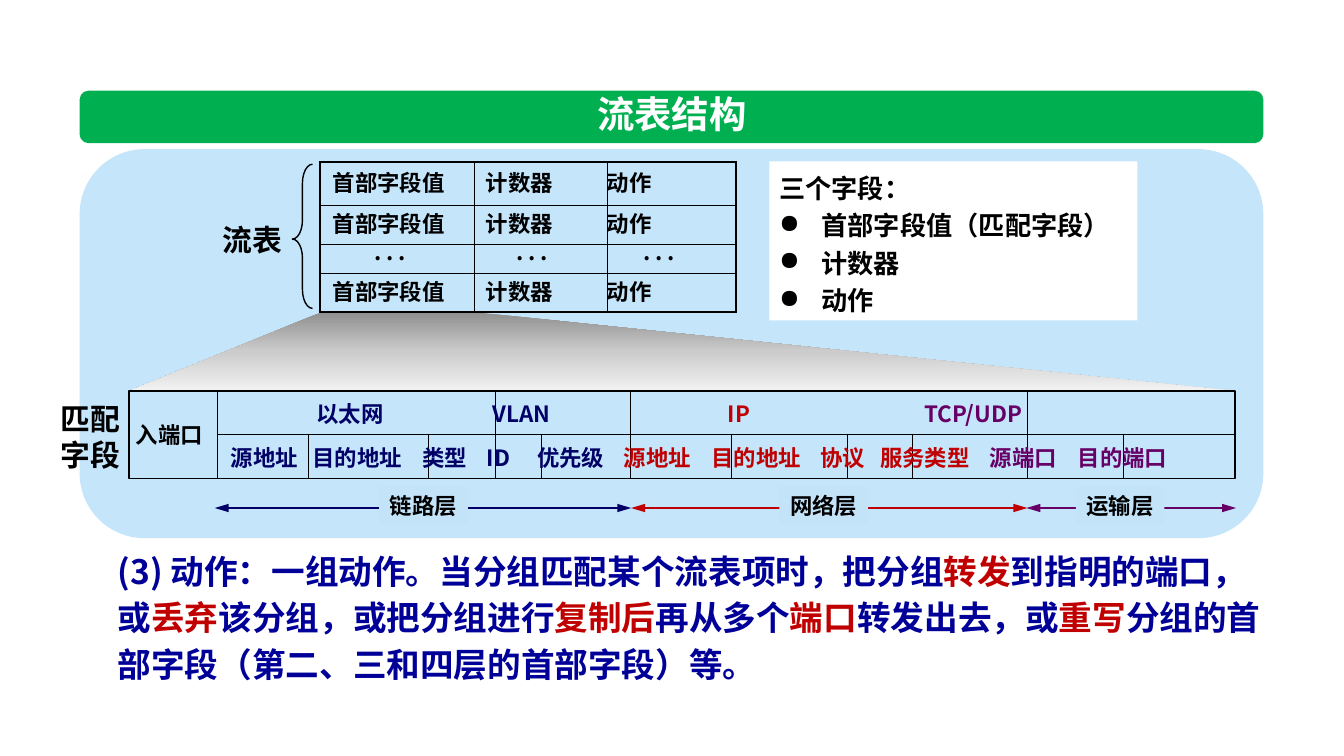
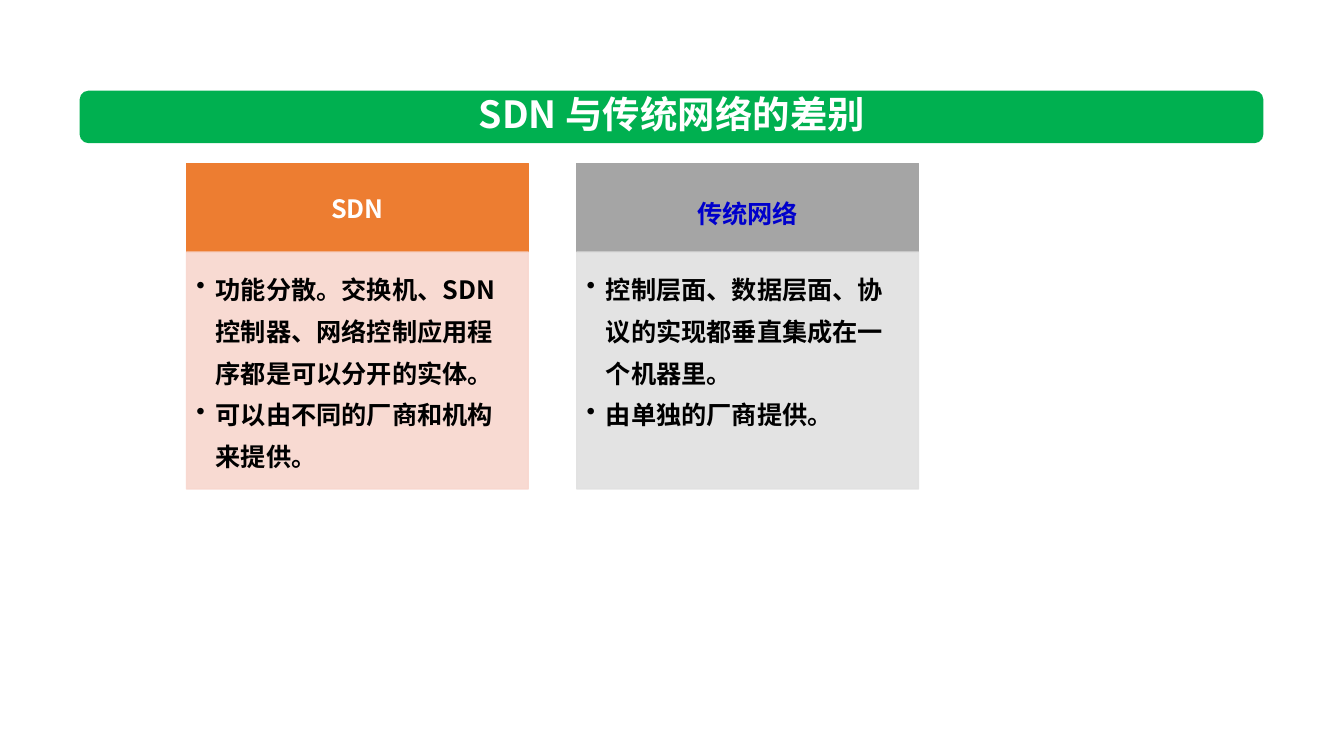
import collections
import copy
import dataclasses

import pptx
import pptx.dml.color
import pptx.enum.shapes
import pptx.enum.text
import pptx.oxml
import pptx.oxml.ns
import pptx.util

Inches = pptx.util.Inches
Pt = pptx.util.Pt
qn = pptx.oxml.ns.qn
Preset = pptx.enum.shapes.MSO_SHAPE
Align = pptx.enum.text.PP_ALIGN
Anchor = pptx.enum.text.MSO_ANCHOR
Box = collections.namedtuple("Box", "left top width height")


@dataclasses.dataclass(frozen=True)
class Theme:
    font: str = "Noto Sans CJK SC"
    title_size: float = 26.7
    body_size: float = 24
    side_size: float = 21.3
    note_size: float = 18.7
    card_size: float = 18
    label_size: float = 16
    white: str = "FFFFFF"
    black: str = "000000"
    green: str = "00B050"
    panel: str = "C5E5FB"
    layer: str = "C3E3F9"
    navy: str = "000066"
    red: str = "C00000"
    purple: str = "660066"
    blue: str = "000099"
    bright_blue: str = "0000CC"
    orange: str = "ED7D31"
    pink: str = "F8D7CE"
    gray: str = "A5A5A5"
    light_gray: str = "E1E1E1"
    fan: tuple = ((0, "909090"), (0.5, "CCCCCC"), (1, "F2F2F2"))


THEME = Theme()


def rgb(value):
    return pptx.dml.color.RGBColor.from_string(value)


def apply(target, formats):
    for name, value in formats.items():
        setattr(target, name, value)


def inches(box):
    return [Inches(value) for value in box]


def within(box, left, top, width, height):
    return Box(box.left + left, box.top + top, width, height)


def write_text(frame, paragraphs, size, align=Align.LEFT, spacing=None, bullets=None, indent=0.0):
    for index, runs in enumerate(paragraphs):
        paragraph = frame.paragraphs[0] if index == 0 else frame.add_paragraph()
        bullet = bullets[index] if bullets else None
        if bullet:
            properties = paragraph._p.get_or_add_pPr()
            apply_indent = {"marL": Inches(indent), "indent": -Inches(indent)}
            for name, value in apply_indent.items():
                properties.set(name, str(value))
            mark = pptx.oxml.parse_xml(
                f'<a:buChar {pptx.oxml.ns.nsdecls("a")} char="{bullet}"/>')
            properties.append(mark)
        apply(paragraph, {"alignment": align, "space_before": Pt(0), "space_after": Pt(0)})
        if spacing:
            paragraph.line_spacing = Pt(spacing)
        for text, color in runs:
            run = paragraph.add_run()
            run.text = text
            apply(run.font, {"name": THEME.font, "size": Pt(size), "bold": True})
            run.font.color.rgb = rgb(color)
            latin = run._r.rPr.find(qn("a:latin"))
            east_asian = latin.makeelement(qn("a:ea"), {"typeface": THEME.font})
            latin.addnext(east_asian)


def set_frame(frame, anchor=Anchor.TOP, insets=(0.1, 0.05, 0.1, 0.05)):
    names = ("margin_left", "margin_top", "margin_right", "margin_bottom")
    apply(frame, dict(zip(names, inches(insets))))
    apply(frame, {"word_wrap": True, "vertical_anchor": anchor})


def add_shape(slide, preset, box, fill=None, line=None, weight=1.0, opacity=None):
    shape = slide.shapes.add_shape(preset, *inches(box))
    shape.shadow.inherit = False
    for paint, color in ((shape.fill, fill), (shape.line.fill, line)):
        if color:
            paint.solid()
            paint.fore_color.rgb = rgb(color)
        else:
            paint.background()
    if line:
        shape.line.width = Pt(weight)
    if opacity:
        for color in shape._element.spPr.iter(qn("a:srgbClr")):
            color.append(color.makeelement(qn("a:alpha"), {"val": str(opacity * 1000)}))
    return shape


def add_text(slide, box, paragraphs, size, anchor=Anchor.TOP, **options):
    frame = slide.shapes.add_textbox(*inches(box)).text_frame
    set_frame(frame, anchor)
    write_text(frame, paragraphs, size, **options)


def add_label(slide, box, left, top, text, color):
    place = within(box, left, top, 0.25 * len(text) + 0.25, 0.37)
    add_text(slide, place, [[(text, color)]], THEME.label_size, Anchor.MIDDLE)


def add_line(slide, box, start, end, color, weight, arrows=False):
    points = [box.left + start[0], box.top + start[1], box.left + end[0], box.top + end[1]]
    connector = slide.shapes.add_connector(
        pptx.enum.shapes.MSO_CONNECTOR.STRAIGHT, *inches(points))
    connector.line.color.rgb = rgb(color)
    connector.line.width = Pt(weight)
    properties = connector._element.spPr
    if arrows:
        line = properties.find(qn("a:ln"))
        for tag in ("a:headEnd", "a:tailEnd"):
            line.append(line.makeelement(qn(tag), {"type": "triangle", "w": "med", "len": "lg"}))
    properties.append(properties.makeelement(qn("a:effectLst"), {}))


def add_title_band(slide, box, text):
    band = add_shape(slide, Preset.ROUNDED_RECTANGLE, box, THEME.green)
    band.adjustments[0] = 0.167
    title = slide.shapes.title
    title._element.addprevious(band._element)
    place = within(box, 2.04, -0.05, 7.67, 0.55)
    apply(title, dict(zip(Box._fields, inches(place))))
    set_frame(title.text_frame, Anchor.MIDDLE)
    write_text(title.text_frame, [[(text, THEME.white)]], THEME.title_size, align=Align.CENTER)


def set_borders(cell, weights):
    properties = cell._tc.get_or_add_tcPr()
    for index, (side, weight) in enumerate(zip("LRTB", weights)):
        properties.insert(index, pptx.oxml.parse_xml(
            f'<a:ln{side} {pptx.oxml.ns.nsdecls("a")} w="{Pt(weight)}"><a:solidFill>'
            f'<a:srgbClr val="{THEME.black}"/></a:solidFill></a:ln{side}>'))


def add_flow_table(slide, box):
    entry = ("首部字段值", "计数器", "动作")
    dots = (". . .",) * 3
    rows = (entry, entry, dots, entry)
    widths = (1.53, 1.32, 1.28)
    heights = (0.43, 0.38, 0.29, 0.39)
    margins = {entry: (0.13, 0.12, 0), dots: (0.54, 0.42, 0.36)}
    table = slide.shapes.add_table(len(rows), len(widths), *inches(box)).table
    apply(table, {"first_row": False, "horz_banding": False})
    for column, width in zip(table.columns, widths):
        column.width = Inches(width)
    for row_index, texts in enumerate(rows):
        table.rows[row_index].height = Inches(heights[row_index])
        for column_index, text in enumerate(texts):
            cell = table.cell(row_index, column_index)
            cell.fill.background()
            apply(cell, {"margin_left": Inches(margins[texts][column_index]), "margin_right": 0,
                         "margin_top": 0, "margin_bottom": 0, "vertical_anchor": Anchor.MIDDLE})
            write_text(cell.text_frame, [[(text, THEME.black)]], THEME.label_size,
                       spacing=12 if texts is dots else 20)
            edges = (column_index == 0, column_index == len(widths) - 1,
                     row_index == 0, row_index == len(rows) - 1)
            set_borders(cell, [1.5 if edge else 0.5 for edge in edges])
    brace = add_shape(slide, Preset.LEFT_BRACE, within(box, -0.27, 0.02, 0.2, 1.43),
                      line=THEME.black)
    brace.adjustments[0], brace.adjustments[1] = 0.937, 0.519
    add_text(slide, within(box, -1.06, 0.54, 0.9, 0.46), [[("流表", THEME.black)]],
             THEME.side_size, Anchor.MIDDLE)


def add_fan(slide, box):
    points = [(1.9, 0), (3.46, 0), (box.width, box.height), (0, box.height)]
    corners = [(Inches(box.left + x), Inches(box.top + y)) for x, y in points]
    builder = slide.shapes.build_freeform(*corners[0])
    builder.add_line_segments(corners[1:], close=True)
    fan = builder.convert_to_shape()
    fan.shadow.inherit = False
    fan.line.fill.background()
    fan.fill.gradient()
    fan.fill.gradient_angle = 270
    stops = fan._element.spPr.find(".//" + qn("a:gsLst"))
    stops.append(copy.deepcopy(stops[-1]))
    for stop, (position, color) in zip(fan.fill.gradient_stops, THEME.fan):
        stop.position = position
        stop.color.rgb = rgb(color)


def add_match_fields(slide, box):
    middle = 0.43
    add_shape(slide, Preset.RECTANGLE, box, line=THEME.black)
    add_line(slide, box, (0.88, middle), (box.width, middle), THEME.black, 0.5)
    dividers = ((0, (0.88, 3.63, 4.97, 8.91)),
                (middle, (1.78, 2.97, 4.09, 5.97, 7.12, 7.77, 9.86)))
    for top, offsets in dividers:
        for offset in offsets:
            add_line(slide, box, (offset, top), (offset, box.height), THEME.black, 0.5)
    add_text(slide, within(box, -0.78, 0.04, 0.9, 0.82),
             [[("匹配", THEME.black)], [("字段", THEME.black)]],
             THEME.side_size, Anchor.MIDDLE, spacing=25.7)
    add_label(slide, box, -0.03, 0.25, "入端口", THEME.black)
    fields = {
        THEME.navy: (((1.76, "以太网"), (3.51, "VLAN")),
                     ((0.91, "源地址"), (1.72, "目的地址"), (2.81, "类型"),
                      (3.45, "ID"), (3.95, "优先级"))),
        THEME.red: (((5.84, "IP"),),
                    ((4.81, "源地址"), (5.68, "目的地址"), (6.76, "协议"), (7.35, "服务类型"))),
        THEME.purple: (((7.79, "TCP/UDP"),), ((8.44, "源端口"), (9.31, "目的端口"))),
    }
    for color, rows in fields.items():
        for top, labels in zip((0.04, 0.47), rows):
            for left, text in labels:
                add_label(slide, box, left, top, text, color)
    layers = (("链路层", 0.85, 4.98, 2.48, THEME.navy), ("网络层", 4.98, 8.91, 6.45, THEME.red),
              ("运输层", 8.9, 10.98, 9.39, THEME.purple))
    for text, start, end, left, color in layers:
        add_line(slide, box, (start, 1.16), (end, 1.16), color, 1.5, arrows=True)
        tag = add_shape(slide, Preset.RECTANGLE, within(box, left, 0.95, 0.88, 0.37), THEME.layer)
        set_frame(tag.text_frame, Anchor.MIDDLE, (0, 0, 0, 0))
        write_text(tag.text_frame, [[(text, THEME.black)]], THEME.label_size, align=Align.CENTER)


def add_field_note(slide, box):
    note = add_shape(slide, Preset.RECTANGLE, box, THEME.white)
    set_frame(note.text_frame)
    lines = ("三个字段：", "首部字段值（匹配字段）", "计数器", "动作")
    write_text(note.text_frame, [[(line, THEME.black)] for line in lines], THEME.note_size,
               spacing=26.7, bullets=(None, "●", "●", "●"), indent=0.42)


def add_action_text(slide, box):
    parts = ("(3) 动作：一组动作。当分组匹配某个流表项时，把分组", "转发", "到指明的端口，或", "丢弃",
             "该分组，或把分组进行", "复制后", "再从多个", "端口", "转发出去，或", "重写",
             "分组的首部字段（第二、三和四层的首部字段）等。")
    runs = [(part, (THEME.blue, THEME.red)[index % 2]) for index, part in enumerate(parts)]
    add_text(slide, box, [runs], THEME.body_size, spacing=33.3)


def add_card(slide, box, heading, heading_color, heading_spacing, fills, points):
    header_height = 0.88
    header = add_shape(slide, Preset.RECTANGLE, within(box, 0, 0, box.width, header_height),
                       fills[0], fills[0])
    set_frame(header.text_frame, Anchor.MIDDLE, (0.14, 0.08, 0.14, 0.08))
    write_text(header.text_frame, [[(heading, heading_color)]], THEME.card_size,
               align=Align.CENTER, spacing=heading_spacing)
    place = within(box, 0, header_height, box.width, box.height - header_height)
    body = add_shape(slide, Preset.RECTANGLE, place, fills[1], fills[1], opacity=90)
    set_frame(body.text_frame, insets=(0.1, 0.1, 0.14, 0.16))
    write_text(body.text_frame, [[(point, THEME.black)] for point in points], THEME.card_size,
               spacing=30, bullets="•" * len(points), indent=0.19)


def add_titled_slide(presentation, title):
    slide = presentation.slides.add_slide(presentation.slide_layouts.get_by_name("Title Only"))
    add_title_band(slide, Box(0.79, 0.9, 11.74, 0.52), title)
    return slide


def build_flow_slide(presentation):
    slide = add_titled_slide(presentation, "流表结构")
    add_shape(slide, Preset.ROUNDED_RECTANGLE, Box(0.79, 1.48, 11.74, 3.86), THEME.panel)
    add_fan(slide, Box(1.28, 3.1, 10.97, 0.78))
    add_flow_table(slide, Box(3.17, 1.61, 4.13, 1.49))
    add_match_fields(slide, Box(1.28, 3.88, 10.97, 0.87))
    add_field_note(slide, Box(7.63, 1.6, 3.65, 1.58))
    add_action_text(slide, Box(1.07, 5.35, 11.7, 1.45))


def build_comparison_slide(presentation):
    slide = add_titled_slide(presentation, "SDN 与传统网络的差别")
    cards = (
        ("SDN", THEME.white, 22, (THEME.orange, THEME.pink),
         ("功能分散。交换机、SDN 控制器、网络控制应用程序都是可以分开的实体。",
          "可以由不同的厂商和机构来提供。")),
        ("传统网络", THEME.bright_blue, 30, (THEME.gray, THEME.light_gray),
         ("控制层面、数据层面、协议的实现都垂直集成在一个机器里。", "由单独的厂商提供。")),
    )
    for index, card in enumerate(cards):
        add_card(slide, Box(1.85 + 3.87 * index, 1.62, 3.39, 3.23), *card)


def main():
    presentation = pptx.Presentation()
    apply(presentation, {"slide_width": Inches(13.33), "slide_height": Inches(7.5)})
    build_flow_slide(presentation)
    build_comparison_slide(presentation)
    presentation.save("out.pptx")


if __name__ == "__main__":
    main()
